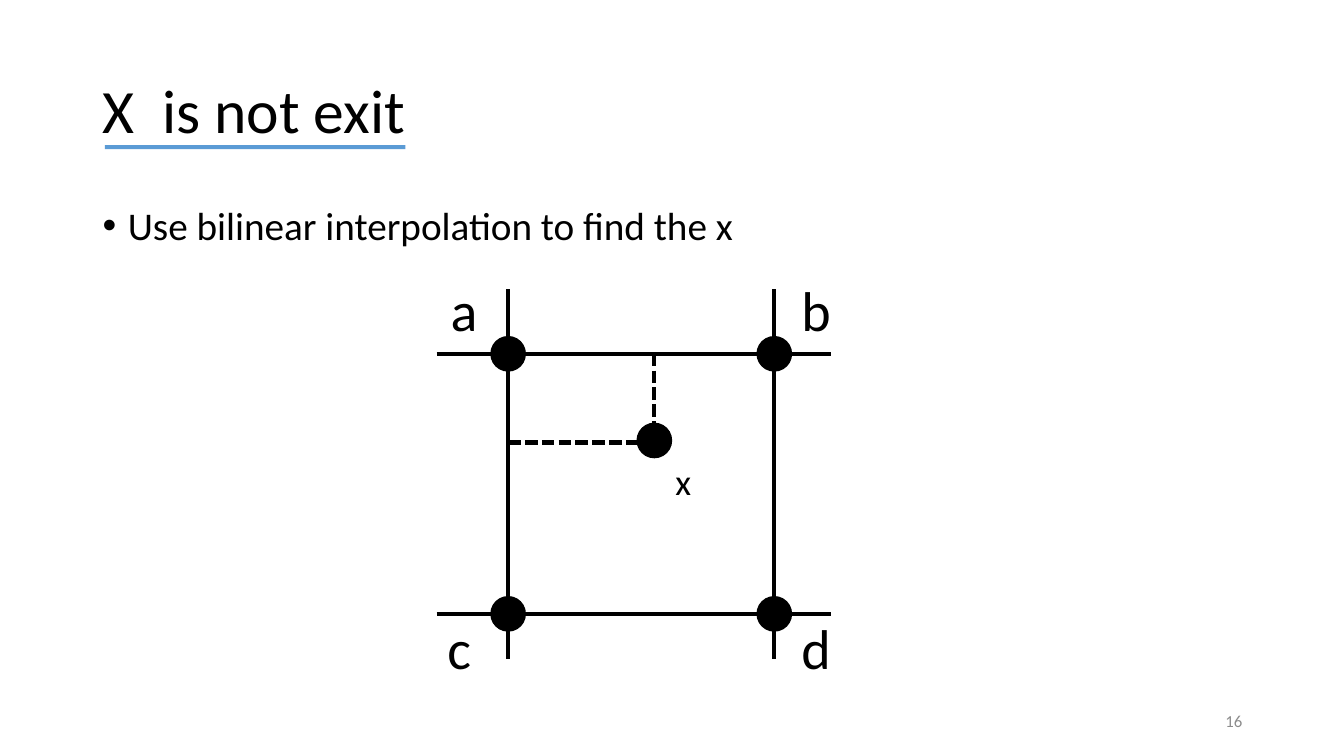
from pptx import Presentation
from pptx import util as u
from pptx.dml.color import RGBColor
from pptx.enum import dml, shapes, text
from pptx.oxml.ns import qn
from lxml import etree

PX = 9144  # EMU: 100 px to the inch
FONT, BLACK, BLUE, GREY = "Calibri", "000000", "5B9BD5", "8C8C8C"

TITLE = "X  is not exit"
POINT = "Use bilinear interpolation to find the x"
NUMBER = "16"
COLS, ROWS = (504, 768), (351, 609)
SPAN_X, SPAN_Y = (433, 824), (287, 654)
TARGET = (649, 437)
DOT = 34
LABELS = [  # text, size, box
    ("a", 40, (437, 268, 47, 77)),
    ("b", 40, (785, 268, 50, 77)),
    ("c", 40, (434, 604, 44, 77)),
    ("d", 40, (785, 604, 50, 77)),
    ("x", 26, (660, 451, 36, 54)),
]

deck = Presentation()
deck.slide_width, deck.slide_height = 1333 * PX, 750 * PX
slide = deck.slides.add_slide(deck.slide_layouts[6])
parts = slide.shapes


def emu(box):
    return [n * PX for n in box]


def color(code):
    return RGBColor.from_string(code)


def write(words, box, size, tint=BLACK, wrap=True, bullet=False,
          anchor=text.MSO_ANCHOR.TOP, align=text.PP_ALIGN.LEFT, lead=None):
    frame = parts.add_textbox(*emu(box)).text_frame
    frame.word_wrap = wrap
    frame.vertical_anchor = anchor
    para = frame.paragraphs[0]
    para.text = words
    para.alignment = align
    para.line_spacing = lead
    if bullet:
        props = para._p.get_or_add_pPr()
        props.set("marL", str(25 * PX))
        props.set("indent", str(-25 * PX))
        etree.SubElement(props, qn("a:buFont")).set("typeface", "Arial")
        etree.SubElement(props, qn("a:buChar")).set("char", "•")
    font = para.font
    font.name, font.size = FONT, u.Pt(size)
    font.color.rgb = color(tint)


def draw(kind, box, fill, edge=None):
    shape = parts.add_shape(kind, *emu(box))
    shape.shadow.inherit = False
    shape.fill.solid()
    shape.fill.fore_color.rgb = color(fill)
    if edge:
        shape.line.color.rgb = color(edge)
        shape.line.width = u.Pt(1)
    else:
        shape.line.fill.background()


def rule(start, end, dash=None):
    link = parts.add_connector(shapes.MSO_CONNECTOR.STRAIGHT,
                               *emu(start + end))
    link.line.color.rgb = color(BLACK)
    link.line.width = u.Pt(3)
    if dash:
        link.line.dash_style = dash
    etree.SubElement(link._element.spPr, qn("a:effectLst"))


write(TITLE, (92, 40, 1150, 145), 44, anchor=text.MSO_ANCHOR.MIDDLE, lead=0.9)
write(POINT, (92, 200, 1150, 476), 28, bullet=True, lead=0.9)

for y in ROWS:
    rule((SPAN_X[0], y), (SPAN_X[1], y))
for x in COLS:
    rule((x, SPAN_Y[0]), (x, SPAN_Y[1]))

for x, y in [(x, y) for y in ROWS for x in COLS] + [TARGET]:
    draw(shapes.MSO_SHAPE.OVAL, (x - DOT // 2, y - DOT // 2, DOT, DOT),
         BLACK, BLACK)

foot = (TARGET[0], TARGET[1] + 2)
for start in ((COLS[0], foot[1]), (foot[0], ROWS[0])):
    rule(start, foot, dml.MSO_LINE.SQUARE_DOT)

for words, size, box in LABELS:
    write(words, box, size, wrap=False)

draw(shapes.MSO_SHAPE.RECTANGLE, (104, 144, 298, 4), BLUE)
write(NUMBER, (942, 695, 300, 40), 12, GREY,
      anchor=text.MSO_ANCHOR.MIDDLE, align=text.PP_ALIGN.RIGHT)

deck.save("out.pptx")
